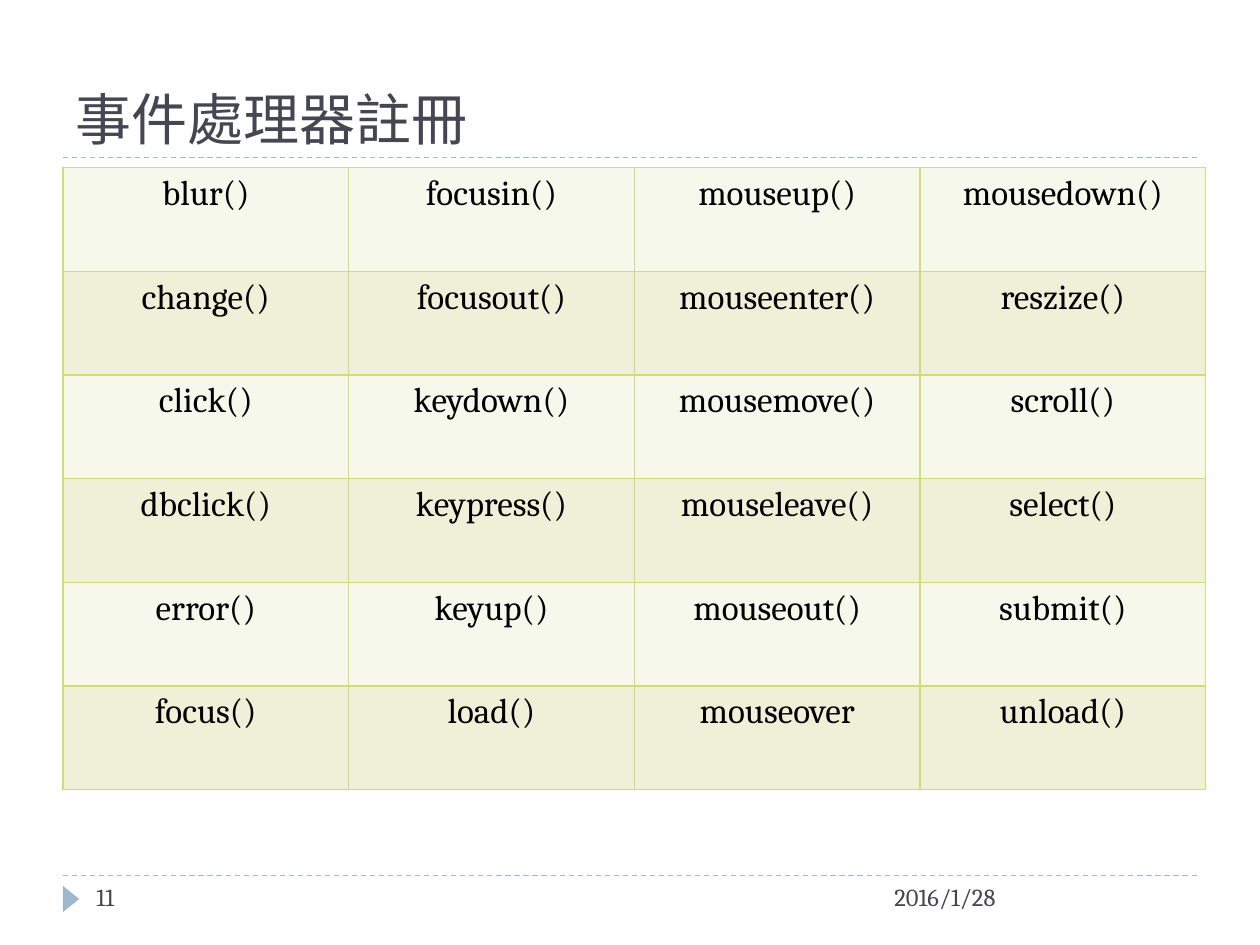
from pptx import Presentation
from pptx.dml.color import RGBColor
from pptx.enum.dml import MSO_LINE
from pptx.enum.shapes import MSO_CONNECTOR, MSO_SHAPE
from pptx.enum.text import MSO_ANCHOR, PP_ALIGN
from pptx.oxml.ns import qn
from pptx.util import Pt
from lxml.etree import SubElement

SLATE = RGBColor(0x46, 0x46, 0x53)
BLUE = RGBColor(0x9F, 0xB8, 0xCD)
BLACK = RGBColor(0x00, 0x00, 0x00)
BANDS = [RGBColor(0xF7, 0xF8, 0xEC), RGBColor(0xEE, 0xF1, 0xD7)]
BORDER = RGBColor(0xD2, 0xDA, 0x7A)

EVENTS = [
    ["blur()", "focusin()", "mouseup()", "mousedown()"],
    ["change()", "focusout()", "mouseenter()", "reszize()"],
    ["click()", "keydown()", "mousemove()", "scroll()"],
    ["dbclick()", "keypress()", "mouseleave()", "select()"],
    ["error()", "keyup()", "mouseout()", "submit()"],
    ["focus()", "load()", "mouseover", "unload()"],
]
COLUMN_WIDTH, ROW_HEIGHT = 163.25, 59.25


def format_text(para, size, font, color):
    for span in para.runs:
        span.font.size = Pt(size)
        span.font.name = font
        span.font.color.rgb = color


def add_borders(cell):
    """Draw all four edges; they must come before the fill in the XML."""
    properties = cell._tc.get_or_add_tcPr()
    for position, edge in enumerate(["a:lnL", "a:lnR", "a:lnT", "a:lnB"]):
        line = SubElement(properties, qn(edge), w=str(Pt(1)))
        fill = SubElement(line, qn("a:solidFill"))
        SubElement(fill, qn("a:srgbClr"), val=str(BORDER))
        properties.insert(position, line)


deck = Presentation()
deck.slide_width, deck.slide_height = Pt(720), Pt(540)
page = deck.slides.add_slide(deck.slide_layouts[6])
shapes = page.shapes

# Dashed rules under the title and above the footer
for y in (500.4, 90):
    rule = shapes.add_connector(MSO_CONNECTOR.STRAIGHT, Pt(36), Pt(y), Pt(684), Pt(y))
    rule.line.color.rgb = BLUE
    rule.line.width = Pt(0.75)
    rule.line.dash_style = MSO_LINE.DASH
    SubElement(rule._element.spPr, qn("a:effectLst"))

# Footer marker
marker = shapes.add_shape(MSO_SHAPE.ISOSCELES_TRIANGLE, Pt(33.1), Pt(509), Pt(15), Pt(9.4))
marker.rotation = 90
marker.shadow.inherit = False
marker.fill.solid()
marker.fill.fore_color.rgb = BLUE
marker.line.fill.background()

# Title, date and page number
for text, left, top, width, height, size, font, anchor in [
    ("事件處理器註冊", 36, 12.25, 648, 77.75, 32, "Calibri", MSO_ANCHOR.BOTTOM),
    ("2016/1/28", 504, 500.4, 180, 28.8, 14, "Cambria", MSO_ANCHOR.TOP),
    ("11", 48, 500.4, 156, 28.8, 14, "Cambria", MSO_ANCHOR.TOP),
]:
    box = shapes.add_textbox(Pt(left), Pt(top), Pt(width), Pt(height))
    frame = box.text_frame
    frame.word_wrap = True
    frame.vertical_anchor = anchor
    frame.text = text
    format_text(frame.paragraphs[0], size, font, SLATE)

# Event table
row_count, column_count = len(EVENTS), len(EVENTS[0])
table = shapes.add_table(
    row_count, column_count, Pt(36), Pt(95.75),
    Pt(COLUMN_WIDTH * column_count), Pt(ROW_HEIGHT * row_count),
).table
table.first_row = False
for column in table.columns:
    column.width = Pt(COLUMN_WIDTH)
for row_index, names in enumerate(EVENTS):
    table.rows[row_index].height = Pt(ROW_HEIGHT)
    for column_index, name in enumerate(names):
        cell = table.cell(row_index, column_index)
        cell.fill.solid()
        cell.fill.fore_color.rgb = BANDS[row_index % 2]
        add_borders(cell)
        para = cell.text_frame.paragraphs[0]
        para.text = name
        para.alignment = PP_ALIGN.CENTER
        format_text(para, 20, "Cambria", BLACK)

deck.save("out.pptx")
